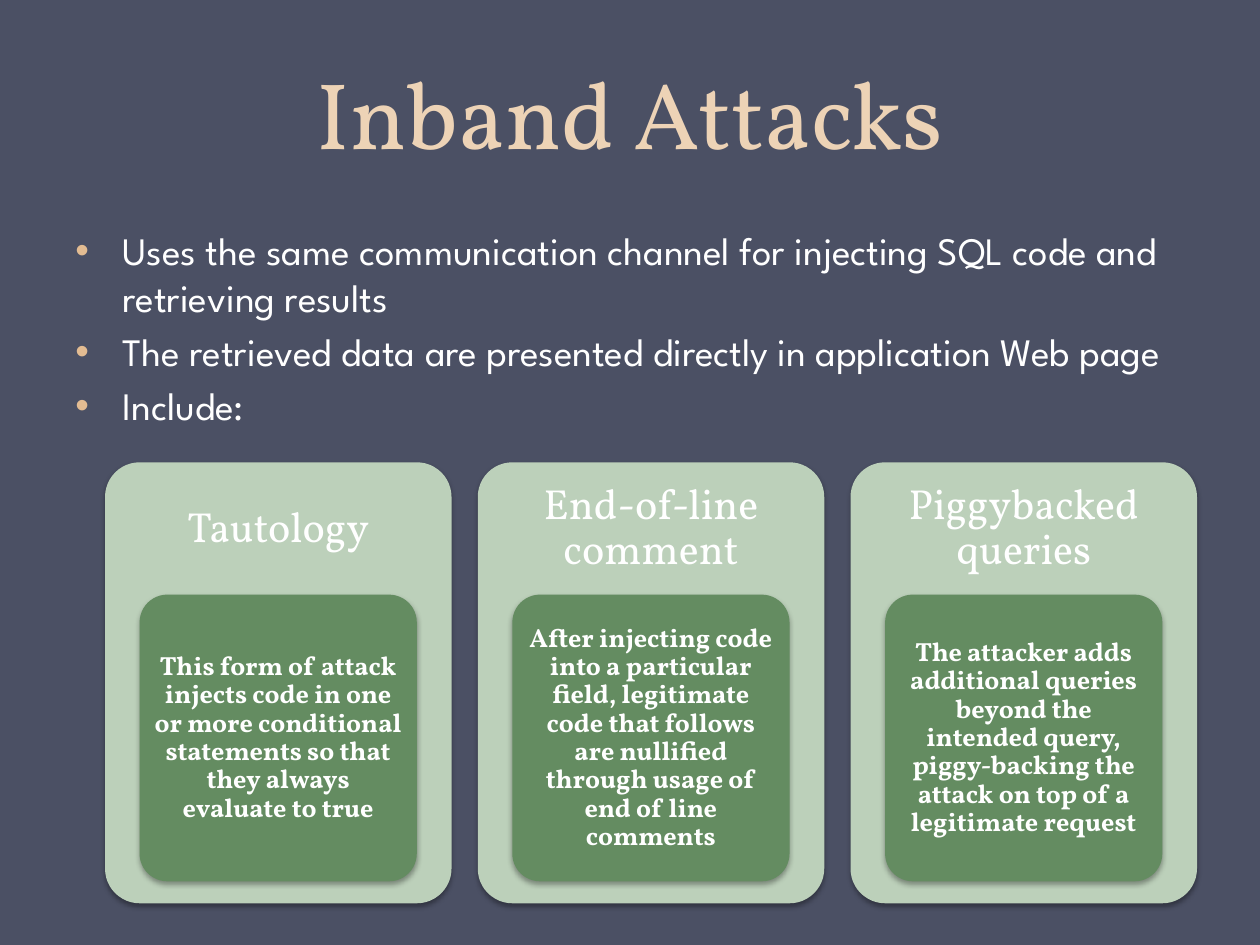
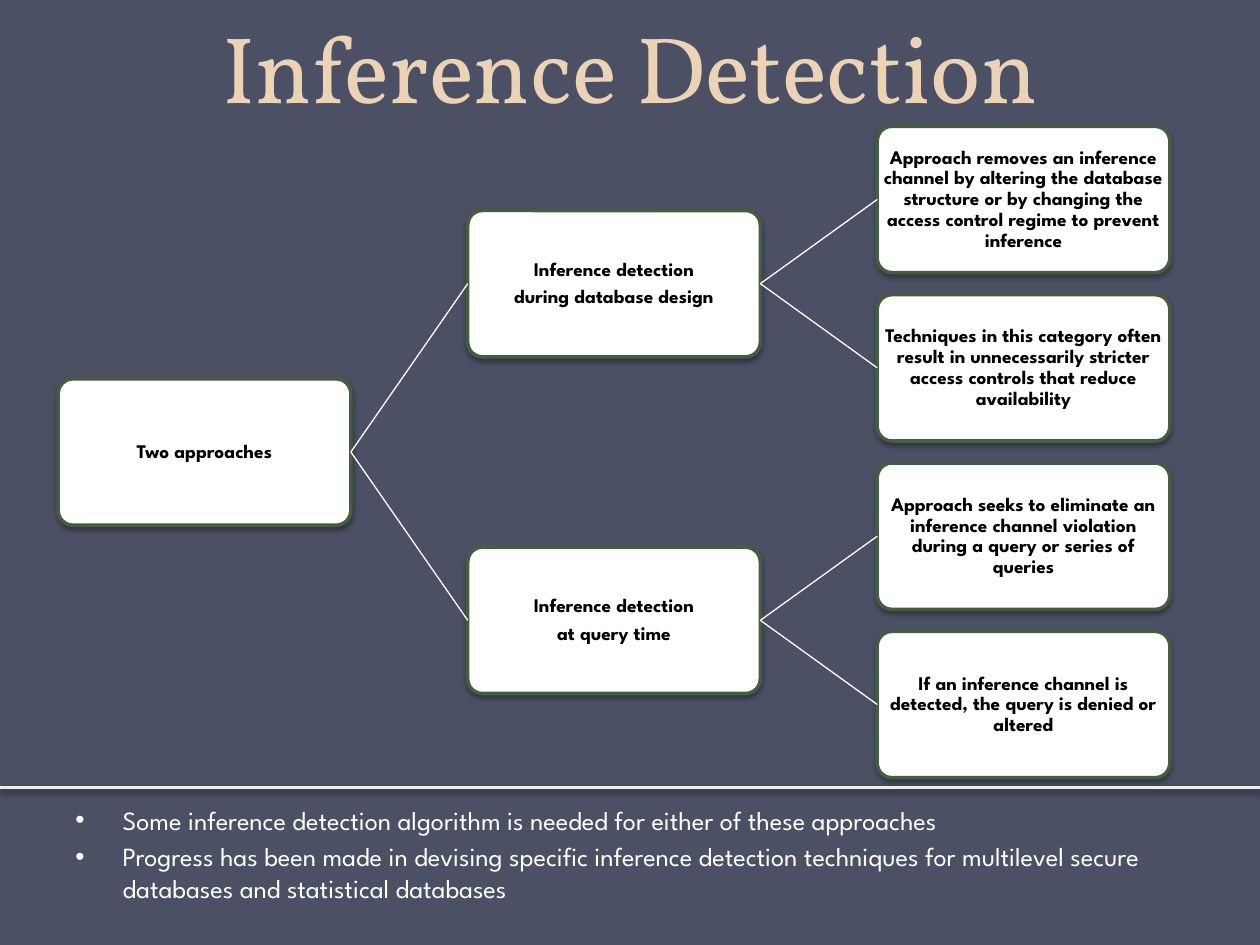
from dataclasses import dataclass, field
from typing import Any, NamedTuple

import lxml.etree
import pptx
import pptx.dml.color
import pptx.enum.shapes
import pptx.enum.text
import pptx.oxml.ns
import pptx.util

Pt = pptx.util.Pt
Align = pptx.enum.text.PP_ALIGN
Anchor = pptx.enum.text.MSO_ANCHOR
qn = pptx.oxml.ns.qn


class Box(NamedTuple):
    left: float
    top: float
    width: float
    height: float

    def lengths(self) -> tuple:
        return tuple(Pt(value) for value in self)


class Shadow(NamedTuple):
    alpha: int
    blur: float
    distance: float


class TextStyle(NamedTuple):
    font: str
    size: float
    colour: str
    bold: bool = False
    align: Any = Align.CENTER
    anchor: Any = Anchor.MIDDLE
    inset: tuple[float, float] = (7.2, 3.6)
    line_spacing: Any = 0.9
    before: float = 0
    after: float = 0
    bullet: str = ""


HEADING_FONT, BODY_FONT = "Vollkorn", "League Spartan"
WHITE = "FFFFFF"
BULLETS = {"font": BODY_FONT, "colour": WHITE, "align": Align.LEFT,
           "anchor": Anchor.TOP, "line_spacing": 1.0}


@dataclass(frozen=True)
class Theme:
    background: str = "4B5064"
    card: str = "BCD0BA"
    card_body: str = "648C61"
    node: str = WHITE
    node_edge: str = "435E40"
    branch: str = WHITE
    divider: str = "E9EFE8"
    bullet_indent: float = 27
    corner: float = 0.1
    shape_shadow: Shadow = Shadow(35, 3.1, 1.8)
    line_shadow: Shadow = Shadow(38, 3.1, 1.6)
    title: TextStyle = TextStyle(HEADING_FONT, 54, "EDD3B6", anchor=Anchor.BOTTOM,
                                 line_spacing=Pt(58))
    points: TextStyle = TextStyle(size=22.2, before=4.4, bullet="E3BC92", **BULLETS)
    remarks: TextStyle = TextStyle(size=15, before=3, bullet=WHITE, **BULLETS)
    card_title: TextStyle = TextStyle(HEADING_FONT, 24, WHITE, inset=(7.2, 7.2), after=8.4)
    card_text: TextStyle = TextStyle(HEADING_FONT, 15, WHITE, True, inset=(3, 2.25), after=5.25)
    node_text: TextStyle = TextStyle(BODY_FONT, 11, "000000", True, inset=(0.5, 0.5), after=3.85)


class Card(NamedTuple):
    title: str
    text: str


@dataclass
class Node:
    lines: tuple[str, ...]
    children: list["Node"] = field(default_factory=list)


THEME = Theme()
SLIDE_WIDTH, SLIDE_HEIGHT = 720, 540
MARGIN = 36
CONTENT_WIDTH = SLIDE_WIDTH - 2 * MARGIN

CARD = Box(60, 264.2, 198, 252)
CARD_PITCH = 213
CARD_HEAD = 75.6
CARD_BODY_HEIGHT = 163.8
CARD_SIDE = 19.8

NODE_WIDTH, NODE_HEIGHT = 167.2, 83.6
TREE_LEFT, TREE_TOP = 33.3, 72.2
LEVEL_PITCH, LEAF_PITCH = 234, 96.2
DIVIDER_TOP = 450

INBAND_POINTS = (
    "Uses the same communication channel for injecting SQL code and retrieving results",
    "The retrieved data are presented directly in application Web page",
    "Include:",
)
CARDS = (
    Card("Tautology",
         "This form of attack injects code in one or more conditional statements "
         "so that they always evaluate to true"),
    Card("End-of-line comment",
         "After injecting code into a particular field, legitimate code that follows "
         "are nullified through usage of end of line comments"),
    Card("Piggybacked queries",
         "The attacker adds additional queries beyond the intended query, piggy-backing "
         "the attack on top of a legitimate request"),
)
APPROACHES = Node(("Two approaches",), [
    Node(("Inference detection", "during database design"), [
        Node(("Approach removes an inference channel by altering the database structure "
              "or by changing the access control regime to prevent inference",)),
        Node(("Techniques in this category often result in unnecessarily stricter access "
              "controls that reduce availability",)),
    ]),
    Node(("Inference detection", "at query time"), [
        Node(("Approach seeks to eliminate an inference channel violation during a query "
              "or series of queries",)),
        Node(("If an inference channel is detected, the query is denied or altered",)),
    ]),
])
DETECTION_REMARKS = (
    "Some inference detection algorithm is needed for either of these approaches",
    "Progress has been made in devising specific inference detection techniques for "
    "multilevel secure databases and statistical databases",
)


def rgb(colour: str) -> pptx.dml.color.RGBColor:
    return pptx.dml.color.RGBColor.from_string(colour)


def apply(target: Any, values: dict[str, Any]) -> None:
    for name, value in values.items():
        setattr(target, name, value)


def set_effects(shape: Any, shadow: Shadow | None) -> None:
    """Give a shape or connector a downward shadow, or an empty effect list."""
    effects = lxml.etree.SubElement(shape._element.spPr, qn("a:effectLst"))
    if shadow:
        outer = lxml.etree.SubElement(
            effects, qn("a:outerShdw"), blurRad=str(Pt(shadow.blur)),
            dist=str(Pt(shadow.distance)), dir="5400000", rotWithShape="0")
        black = lxml.etree.SubElement(outer, qn("a:srgbClr"), val="000000")
        lxml.etree.SubElement(black, qn("a:alpha"), val=str(shadow.alpha * 1000))


def add_bullet(para: Any, colour: str) -> None:
    properties = para._p.get_or_add_pPr()
    indent = Pt(THEME.bullet_indent)
    properties.set("marL", str(indent))
    properties.set("indent", str(-indent))
    tint = lxml.etree.SubElement(properties, qn("a:buClr"))
    lxml.etree.SubElement(tint, qn("a:srgbClr"), val=colour)
    lxml.etree.SubElement(properties, qn("a:buFont"), typeface="Arial")
    lxml.etree.SubElement(properties, qn("a:buChar"), char="•")


def write(shape: Any, lines: tuple[str, ...], style: TextStyle) -> None:
    across, down = (Pt(value) for value in style.inset)
    frame = shape.text_frame
    apply(frame, {"word_wrap": True, "vertical_anchor": style.anchor,
                  "margin_left": across, "margin_right": across,
                  "margin_top": down, "margin_bottom": down})
    for index, line in enumerate(lines):
        para = frame.add_paragraph() if index else frame.paragraphs[0]
        if style.bullet:
            add_bullet(para, style.bullet)
        apply(para, {"alignment": style.align, "line_spacing": style.line_spacing,
                     "space_before": Pt(style.before if index else 0),
                     "space_after": Pt(style.after)})
        span = para.add_run()
        span.text = line
        apply(span.font, {"name": style.font, "size": Pt(style.size), "bold": style.bold})
        span.font.color.rgb = rgb(style.colour)


def add_text(page: Any, box: Box, lines: tuple[str, ...], style: TextStyle) -> None:
    write(page.shapes.add_textbox(*box.lengths()), lines, style)


def add_panel(page: Any, box: Box, fill: str, edge: str = "") -> Any:
    """Add a shadowed rounded rectangle, outlined when an edge colour is given."""
    kind = pptx.enum.shapes.MSO_SHAPE.ROUNDED_RECTANGLE
    panel = page.shapes.add_shape(kind, *box.lengths())
    panel.adjustments[0] = THEME.corner
    panel.fill.solid()
    panel.fill.fore_color.rgb = rgb(fill)
    if edge:
        panel.line.color.rgb = rgb(edge)
        panel.line.width = Pt(2)
    else:
        panel.line.fill.background()
    set_effects(panel, THEME.shape_shadow)
    return panel


def add_line(page: Any, start: tuple[float, float], end: tuple[float, float],
             colour: str, width: float, shadow: Shadow | None = None) -> None:
    kind = pptx.enum.shapes.MSO_CONNECTOR.STRAIGHT
    line = page.shapes.add_connector(kind, *(Pt(value) for value in start + end))
    line.line.color.rgb = rgb(colour)
    line.line.width = Pt(width)
    set_effects(line, shadow)


def add_page(deck: Any, title: str, title_height: float) -> Any:
    page = deck.slides.add_slide(deck.slide_layouts[6])
    page.background.fill.solid()
    page.background.fill.fore_color.rgb = rgb(THEME.background)
    add_text(page, Box(MARGIN, 0, CONTENT_WIDTH, title_height), (title,), THEME.title)
    return page


def draw_card(page: Any, card: Card, left: float) -> None:
    box = CARD._replace(left=left)
    add_panel(page, box, THEME.card)
    add_text(page, box._replace(height=CARD_HEAD), (card.title,), THEME.card_title)
    inner = Box(left + CARD_SIDE, box.top + CARD_HEAD,
                box.width - 2 * CARD_SIDE, CARD_BODY_HEIGHT)
    write(add_panel(page, inner, THEME.card_body), (card.text,), THEME.card_text)


def count_leaves(node: Node) -> int:
    return sum(map(count_leaves, node.children)) or 1


def draw_tree(page: Any, node: Node, level: int = 0, first_leaf: int = 0) -> tuple[float, float]:
    """Draw a node centred on its leaves, then its branches; return its left middle."""
    left = TREE_LEFT + level * LEVEL_PITCH
    top = TREE_TOP + (first_leaf + (count_leaves(node) - 1) / 2) * LEAF_PITCH
    middle = top + NODE_HEIGHT / 2
    panel = add_panel(page, Box(left, top, NODE_WIDTH, NODE_HEIGHT),
                      THEME.node, THEME.node_edge)
    write(panel, node.lines, THEME.node_text)
    for child in node.children:
        child_start = draw_tree(page, child, level + 1, first_leaf)
        add_line(page, (left + NODE_WIDTH, middle), child_start, THEME.branch, 0.75)
        first_leaf += count_leaves(child)
    return left, middle


def build_inband_attacks(deck: Any) -> None:
    page = add_page(deck, "Inband Attacks", 100)
    add_text(page, Box(MARGIN, 126, CONTENT_WIDTH, 126), INBAND_POINTS, THEME.points)
    for index, card in enumerate(CARDS):
        draw_card(page, card, CARD.left + index * CARD_PITCH)


def build_inference_detection(deck: Any) -> None:
    page = add_page(deck, "Inference Detection", 73.4)
    add_text(page, Box(MARGIN, 455.8, CONTENT_WIDTH, 63.4), DETECTION_REMARKS, THEME.remarks)
    draw_tree(page, APPROACHES)
    add_line(page, (0, DIVIDER_TOP), (SLIDE_WIDTH, DIVIDER_TOP),
             THEME.divider, 2.25, THEME.line_shadow)


def main() -> None:
    deck = pptx.Presentation()
    apply(deck, {"slide_width": Pt(SLIDE_WIDTH), "slide_height": Pt(SLIDE_HEIGHT)})
    build_inband_attacks(deck)
    build_inference_detection(deck)
    deck.save("out.pptx")


if __name__ == "__main__":
    main()
